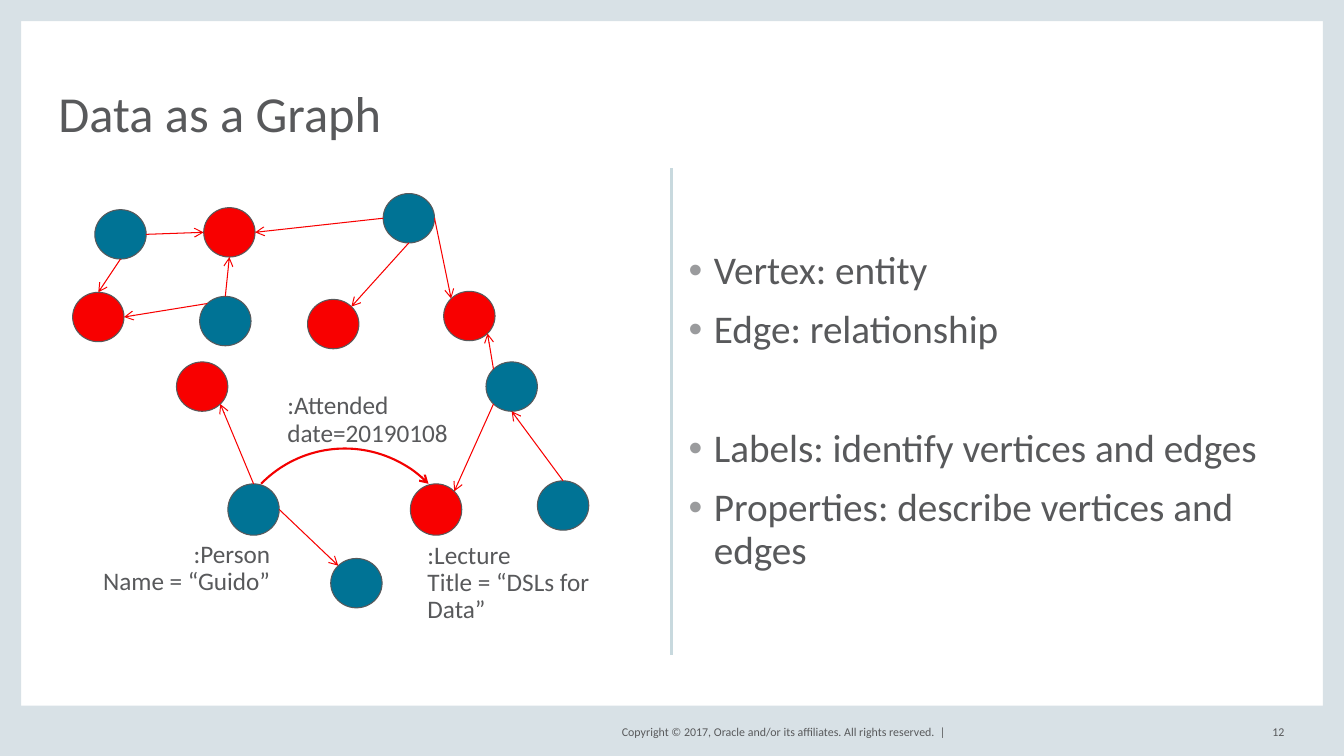
import math
from dataclasses import dataclass

from lxml import etree
from pptx import Presentation
from pptx.dml.color import RGBColor
from pptx.enum.shapes import MSO_CONNECTOR, MSO_SHAPE
from pptx.enum.text import MSO_ANCHOR, PP_ALIGN
from pptx.oxml.ns import qn
from pptx.util import Inches, Pt

RECTANGLE, ELLIPSE, ARC = MSO_SHAPE.RECTANGLE, MSO_SHAPE.OVAL, MSO_SHAPE.ARC
STRAIGHT = MSO_CONNECTOR.STRAIGHT
LEFT, RIGHT = PP_ALIGN.LEFT, PP_ALIGN.RIGHT
TOP, MIDDLE, BOTTOM = MSO_ANCHOR.TOP, MSO_ANCHOR.MIDDLE, MSO_ANCHOR.BOTTOM


@dataclass(frozen=True)
class Theme:
    """Colours, font and type sizes of the slide."""
    font: str = "Calibri"
    text: str = "58595B"
    bullet: str = "9A9B9D"
    frame: str = "D8E1E6"
    divider: str = "C8D9DE"
    red: str = "F80000"
    blue: str = "007395"
    arc: str = "F30000"
    title_size: float = 36
    body_size: float = 28
    label_size: float = 18
    footer_size: float = 8.5


THEME = Theme()
SLIDE_WIDTH, SLIDE_HEIGHT = 13.33, 7.5
VERTEX_WIDTH, VERTEX_HEIGHT = 0.51, 0.49
SITES = ["top", "top left", "left", "bottom left",
         "bottom", "bottom right", "right", "top right"]

VERTICES = {
    "north west": (0.36, 0.41, THEME.blue),
    "north": (1.44, 0.39, THEME.red),
    "north east": (3.22, 0.25, THEME.blue),
    "west": (0.14, 1.23, THEME.red),
    "inner west": (1.4, 1.27, THEME.blue),
    "centre": (2.47, 1.3, THEME.red),
    "east": (3.82, 1.22, THEME.red),
    "south west": (1.17, 1.92, THEME.red),
    "hub": (4.24, 1.92, THEME.blue),
    "far east": (4.75, 3.1, THEME.blue),
    "south": (2.7, 3.87, THEME.blue),
    "person": (1.68, 3.13, THEME.blue),
    "lecture": (3.49, 3.13, THEME.red),
}
EDGES = [
    ("person", "top", "south west", "bottom right"),
    ("inner west", "top left", "west", "right"),
    ("far east", "top", "hub", "bottom"),
    ("hub", "top left", "east", "bottom right"),
    ("north east", "right", "east", "top left"),
    ("north east", "bottom", "centre", "top right"),
    ("north east", "left", "north", "right"),
    ("inner west", "top", "north", "bottom"),
    ("north west", "right", "north", "left"),
    ("north west", "bottom", "west", "top"),
    ("person", "right", "south", "top left"),
    ("hub", "bottom left", "lecture", "top right"),
]
LABELS = [
    ((0.36, 3.7, 1.74, 0.54), RIGHT, [":Person", "Name = “Guido”"]),
    ((3.66, 3.71, 2.2, 0.54), LEFT, [":Lecture", "Title = “DSLs for Data”"]),
    ((2.27, 2.23, 1.61, 0.55), LEFT, [":Attended", "date=20190108"]),
]
POINTS = [
    ("Vertex: entity", 0),
    ("Edge: relationship", 12),
    ("Labels: identify vertices and edges", 54.5),
    ("Properties: describe vertices and edges", 12),
]


def color(value):
    """Return the colour object for a hex value."""
    return RGBColor.from_string(value)


def place(shape, box):
    """Move and size a shape to a box in inches."""
    shape.left, shape.top, shape.width, shape.height = map(Inches, box)


def prepare_frame(shape, anchor, wrap):
    """Clear the insets of a text frame and set its anchor and wrapping."""
    frame = shape.text_frame
    frame.margin_left = frame.margin_right = 0
    frame.margin_top = frame.margin_bottom = 0
    frame.vertical_anchor, frame.word_wrap = anchor, wrap
    return frame


def add_line(frame, index, text, size, align=LEFT, spacing=0.9):
    """Write one paragraph as one run."""
    paragraph = frame.paragraphs[0] if index == 0 else frame.add_paragraph()
    paragraph.alignment, paragraph.line_spacing = align, spacing
    run = paragraph.add_run()
    run.text = text
    run.font.name, run.font.size = THEME.font, Pt(size)
    run.font.color.rgb = color(THEME.text)
    return paragraph


def add_text(slide, box, lines, size, align=LEFT, anchor=TOP):
    """Add an unwrapped text box with one paragraph per line."""
    shape = slide.shapes.add_textbox(*map(Inches, box))
    frame = prepare_frame(shape, anchor, False)
    for index, line in enumerate(lines):
        add_line(frame, index, line, size, align)


def add_figure(slide, kind, box, fill=None, line=None, width=0.75):
    """Add a preset shape with a plain fill and outline."""
    shape = slide.shapes.add_shape(kind, *map(Inches, box))
    shape.shadow.inherit = False
    if fill:
        shape.fill.solid()
        shape.fill.fore_color.rgb = color(fill)
    else:
        shape.fill.background()
    if line:
        shape.line.color.rgb = color(line)
        shape.line.width = Pt(width)
    else:
        shape.line.fill.background()
    return shape


def add_arrowhead(shape):
    """Put an open arrowhead at the end of a line."""
    etree.SubElement(shape.line._get_or_add_ln(), qn("a:tailEnd"), type="arrow")


def add_connector(slide, start, end, line, width):
    """Add a straight connector without a shadow."""
    connector = slide.shapes.add_connector(STRAIGHT, *map(Inches, start + end))
    connector.line.color.rgb = color(line)
    connector.line.width = Pt(width)
    etree.SubElement(connector._element.spPr, qn("a:effectLst"))
    return connector


def draw_frame(slide, width, height):
    """Draw the four border bars and the footer texts."""
    side, base = 0.21, 0.5
    bars = [(0, 0, side, height), (width - side, 0, side, height),
            (0, height - base, width, base), (0, 0, width, side)]
    for bar in bars:
        add_figure(slide, RECTANGLE, bar, THEME.frame)
    footers = [
        (5.88, 3.5, "Copyright © 2017, Oracle and/or its affiliates. All rights reserved.  |"),
        (12.38, 0.36, "12"),
    ]
    for left, span, text in footers:
        add_text(slide, (left, height - 0.33, span, 0.2), [text],
                 THEME.footer_size, RIGHT, MIDDLE)


def draw_title(slide, box):
    """Place and fill the title placeholder."""
    title = slide.shapes.title
    place(title, box)
    frame = prepare_frame(title, BOTTOM, True)
    add_line(frame, 0, "Data as a Graph", THEME.title_size, spacing=0.8)


def site_point(box, site):
    """Return the point of a connection site on an ellipse."""
    left, top, width, height = box
    angle = math.radians(90 + 45 * SITES.index(site))
    return (left + width / 2 * (1 + math.cos(angle)),
            top + height / 2 * (1 - math.sin(angle)))


def draw_graph(slide, box):
    """Draw the vertices, edges, highlighted edge and labels."""
    left, top = box[:2]
    vertices, areas = {}, {}
    for name, (x, y, fill) in VERTICES.items():
        areas[name] = (left + x, top + y, VERTEX_WIDTH, VERTEX_HEIGHT)
        if name in ("person", "lecture"):
            areas[name] = (left + x, top + y, VERTEX_WIDTH, VERTEX_WIDTH)
        vertices[name] = add_figure(slide, ELLIPSE, areas[name], fill, THEME.text)
    for source, source_site, target, target_site in EDGES:
        connector = add_connector(slide, site_point(areas[source], source_site),
                                  site_point(areas[target], target_site), THEME.red, 0.75)
        add_arrowhead(connector)
        glue = connector._element.nvCxnSpPr.cNvCxnSpPr
        for tag, name, site in (("a:stCxn", source, source_site),
                                ("a:endCxn", target, target_site)):
            etree.SubElement(glue, qn(tag), id=str(vertices[name].shape_id),
                             idx=str(SITES.index(site)))
    arc = add_figure(slide, ARC, (left + 1.68, top + 2.78, 2.32, 2.32), line=THEME.arc, width=1.5)
    arc.adjustments[0], arc.adjustments[1] = 224.3 * 0.6, 315.7 * 0.6
    add_arrowhead(arc)
    for (x, y, width, height), align, lines in LABELS:
        add_text(slide, (left + x, top + y, width, height), lines, THEME.label_size, align)


def draw_points(slide, box):
    """Draw the divider and the bulleted list to its right."""
    left, top, width, height = box
    add_connector(slide, (left, top), (left, top + height), THEME.divider, 1.5)
    shape = slide.shapes.add_textbox(*map(Inches, (left + 0.17, top, width - 0.17, height)))
    frame = prepare_frame(shape, MIDDLE, True)
    for index, (text, gap) in enumerate(POINTS):
        paragraph = add_line(frame, index, text, THEME.body_size)
        paragraph.space_before = Pt(gap)
        properties = paragraph._p.get_or_add_pPr()
        properties.set("marL", str(Inches(0.25)))
        properties.set("indent", str(Inches(-0.25)))
        bullet_color = etree.SubElement(properties, qn("a:buClr"))
        etree.SubElement(bullet_color, qn("a:srgbClr"), val=THEME.bullet)
        etree.SubElement(properties, qn("a:buFont"), typeface="Arial")
        etree.SubElement(properties, qn("a:buChar"), char="•")


def main():
    """Build the slide and save it."""
    presentation = Presentation()
    presentation.slide_width = Inches(SLIDE_WIDTH)
    presentation.slide_height = Inches(SLIDE_HEIGHT)
    slide = presentation.slides.add_slide(presentation.slide_layouts[5])
    draw_frame(slide, SLIDE_WIDTH, SLIDE_HEIGHT)
    draw_title(slide, (0.58, 0.44, 12.17, 0.97))
    draw_graph(slide, (0.58, 1.67, 5.9, 4.83))
    draw_points(slide, (6.66, 1.67, 6.09, 4.83))
    presentation.save("out.pptx")


if __name__ == "__main__":
    main()
